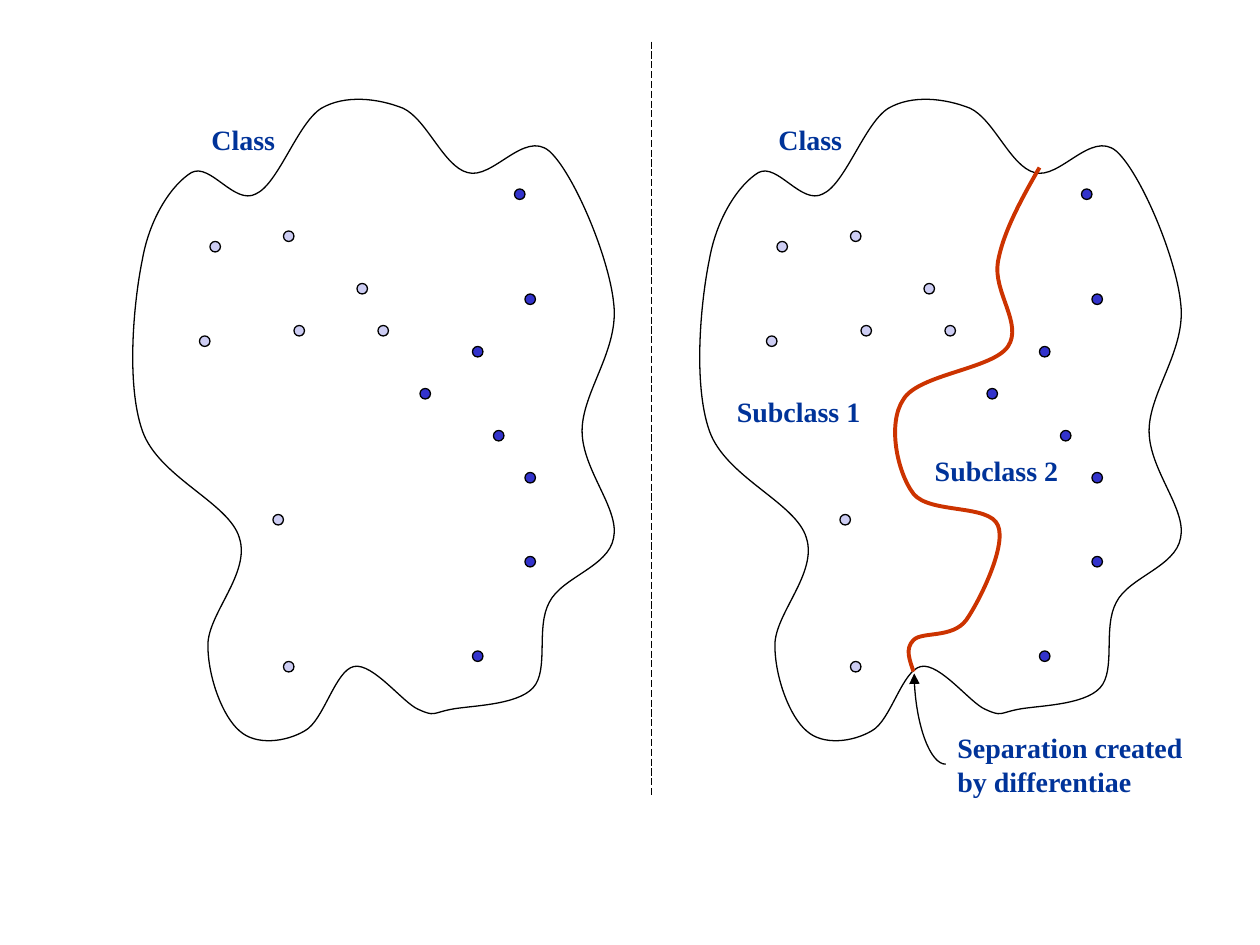
from itertools import islice

from lxml import etree
from pptx import Presentation
from pptx.dml.color import RGBColor
from pptx.enum import dml, shapes, text
from pptx.oxml import ns
from pptx.util import Cm, Pt

BLACK = RGBColor(0x00, 0x00, 0x00)
NAVY = RGBColor(0x00, 0x33, 0x99)
RED = RGBColor(0xCC, 0x33, 0x00)
PALE = RGBColor(0xCD, 0xCD, 0xF3)
BLUE = RGBColor(0x33, 0x33, 0xCC)
FONT = "Times New Roman"

# Content: lengths in inches, dots in twelfths of an inch
PANELS = [0, 4.5]
CLASS_START = (3.58, 5.63)
CLASS_CURVES = [
    (3.73, 5.6, 4.1, 5.6, 4.23, 5.46), (4.36, 5.32, 4.25, 4.98, 4.36, 4.78),
    (4.46, 4.58, 4.83, 4.5, 4.87, 4.27), (4.92, 4.04, 4.62, 3.73, 4.62, 3.42),
    (4.62, 3.11, 4.92, 2.77, 4.87, 2.4), (4.83, 2.03, 4.55, 1.37, 4.36, 1.2),
    (4.16, 1.03, 3.91, 1.43, 3.71, 1.37), (3.52, 1.32, 3.39, 0.95, 3.2, 0.86),
    (3, 0.78, 2.74, 0.75, 2.55, 0.86), (2.36, 0.98, 2.21, 1.46, 2.03, 1.54),
    (1.86, 1.63, 1.67, 1.29, 1.52, 1.37), (1.37, 1.46, 1.19, 1.72, 1.13, 2.06),
    (1.06, 2.4, 1, 3.05, 1.13, 3.42), (1.26, 3.79, 1.82, 3.99, 1.9, 4.27),
    (1.99, 4.55, 1.65, 4.87, 1.65, 5.12), (1.65, 5.38, 1.77, 5.69, 1.9, 5.8),
    (2.03, 5.92, 2.27, 5.89, 2.42, 5.8), (2.57, 5.72, 2.66, 5.32, 2.81, 5.29),
    (2.96, 5.26, 3.2, 5.58, 3.32, 5.63), (3.45, 5.69, 3.43, 5.66, 3.58, 5.63),
]
SPLIT_START = (8.25, 1.33)
SPLIT_CURVES = [
    (8.1, 1.59, 7.96, 1.85, 7.92, 2.08), (7.88, 2.32, 8.12, 2.57, 8, 2.75),
    (7.88, 2.93, 7.29, 2.97, 7.17, 3.17), (7.04, 3.36, 7.12, 3.75, 7.25, 3.92),
    (7.38, 4.08, 7.85, 4, 7.92, 4.17), (7.99, 4.33, 7.78, 4.76, 7.67, 4.92),
    (7.56, 5.07, 7.32, 5.01, 7.25, 5.08), (7.18, 5.15, 7.22, 5.24, 7.25, 5.33),
]
DOTS = {
    PALE: [(20, 23), (19, 32), (27, 22), (34, 27), (28, 31), (26, 49),
           (36, 31), (27, 63)],
    BLUE: [(40, 37), (47, 41), (50, 28), (45, 33), (50, 45), (49, 18),
           (45, 62), (50, 53)],
}
LABELS = [
    (["Class"], 1.58, 0.92, 0.71, 0.37),
    (["Class"], 6.08, 0.92, 0.71, 0.37),
    (["Subclass 1"], 5.75, 3.08, 1.18, 0.37),
    (["Subclass 2"], 7.32, 3.55, 1.18, 0.37),
    (["Separation created", "by differentiae"], 7.5, 5.75, 2, 0.64),
]


def inches(*values):
    return [Cm(v * 2.54) for v in values]


def set_line(s, width, color=BLACK):
    s.line.width = Pt(width)
    s.line.color.rgb = color


def add_curve(start, curves, dx=0, closed=False, width=0.75, color=BLACK):
    """Draw cubic curves, each given as two control points and an end."""
    points = [inches(c[i] + dx, c[i + 1]) for c in curves for i in (0, 2, 4)]
    builder = slide.shapes.build_freeform(*inches(start[0] + dx, start[1]))
    builder.add_line_segments(points, close=closed)
    s = builder.convert_to_shape()
    # Turn every three line segments into one cubic curve
    segments = iter(list(s._element.iter(ns.qn("a:lnTo"))))
    while group := list(islice(segments, 3)):
        cubic = etree.Element(ns.qn("a:cubicBezTo"))
        group[0].addprevious(cubic)
        for segment in group:
            cubic.append(segment[0])
            segment.getparent().remove(segment)
    s.shadow.inherit = False
    s.fill.background()
    set_line(s, width, color)


def add_connector(kind, *ends, width):
    s = slide.shapes.add_connector(kind, *inches(*ends))
    set_line(s, width)
    etree.SubElement(s._element.spPr, ns.qn("a:effectLst"))
    return s


def add_label(lines, *box, size=16, color=NAVY, bold=True):
    tf = slide.shapes.add_textbox(*inches(*box)).text_frame
    tf.word_wrap = False
    tf.auto_size = text.MSO_AUTO_SIZE.SHAPE_TO_FIT_TEXT
    for i, line in enumerate(lines):
        p = tf.add_paragraph() if i else tf.paragraphs[0]
        r = p.add_run()
        r.text = line
        r.font.name, r.font.size, r.font.bold = FONT, Pt(size), bold
        r.font.color.rgb = color


prs = Presentation()
prs.slide_width, prs.slide_height = inches(10, 7.5)
slide = prs.slides.add_slide(prs.slide_layouts[6])

# Both panels: class outline and its members
for dx in PANELS:
    add_curve(CLASS_START, CLASS_CURVES, dx, closed=True)
    for color, cells in DOTS.items():
        for x, y in cells:
            dot = slide.shapes.add_shape(
                shapes.MSO_SHAPE.OVAL, *inches(x / 12 + dx, y / 12, 1 / 12, 1 / 12))
            dot.shadow.inherit = False
            dot.fill.solid()
            dot.fill.fore_color.rgb = color
            set_line(dot, 0.75)

# Divider between the panels
divider = add_connector(shapes.MSO_CONNECTOR.STRAIGHT, 5.17, 0.33, 5.17, 6.33, width=0.5)
divider.line.dash_style = dml.MSO_LINE.LONG_DASH

# Separation of the subclasses
add_curve(SPLIT_START, SPLIT_CURVES, width=2.25, color=RED)

# Labels
for lines, *box in LABELS:
    add_label(lines, *box)

# Quarter-curve arrow up to the separation, turned by 270 degrees
arrow = add_connector(shapes.MSO_CONNECTOR.CURVE, 7.74, 5.58, 7.02, 5.83, width=0.75)
arrow_pr = arrow._element.spPr
arrow_pr.find(ns.qn("a:xfrm")).set("rot", str(270 * 60000))
arrow_pr.find(ns.qn("a:prstGeom")).set("prst", "curvedConnector2")
etree.SubElement(arrow_pr.find(ns.qn("a:ln")), ns.qn("a:headEnd"), type="triangle")

prs.save("out.pptx")
